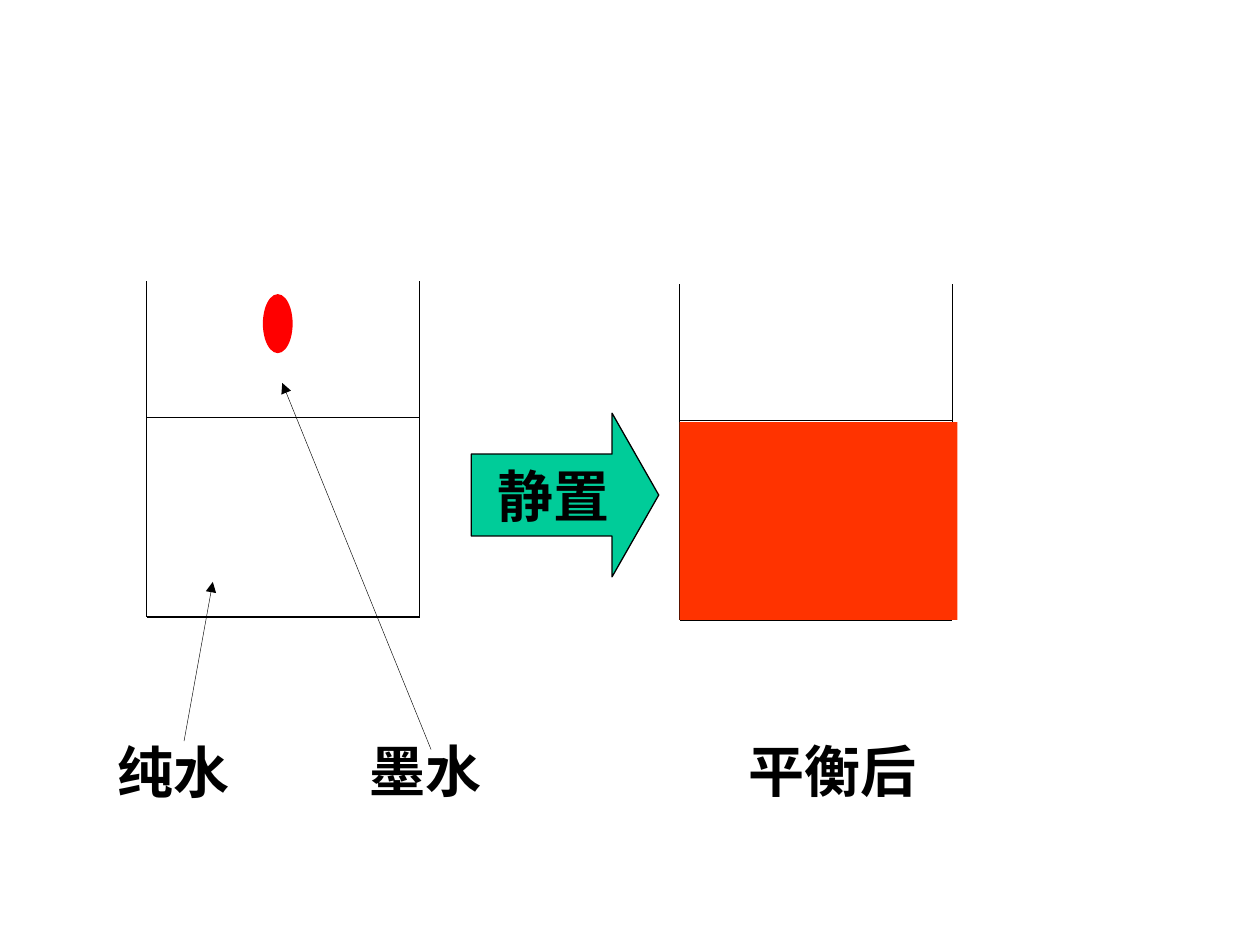
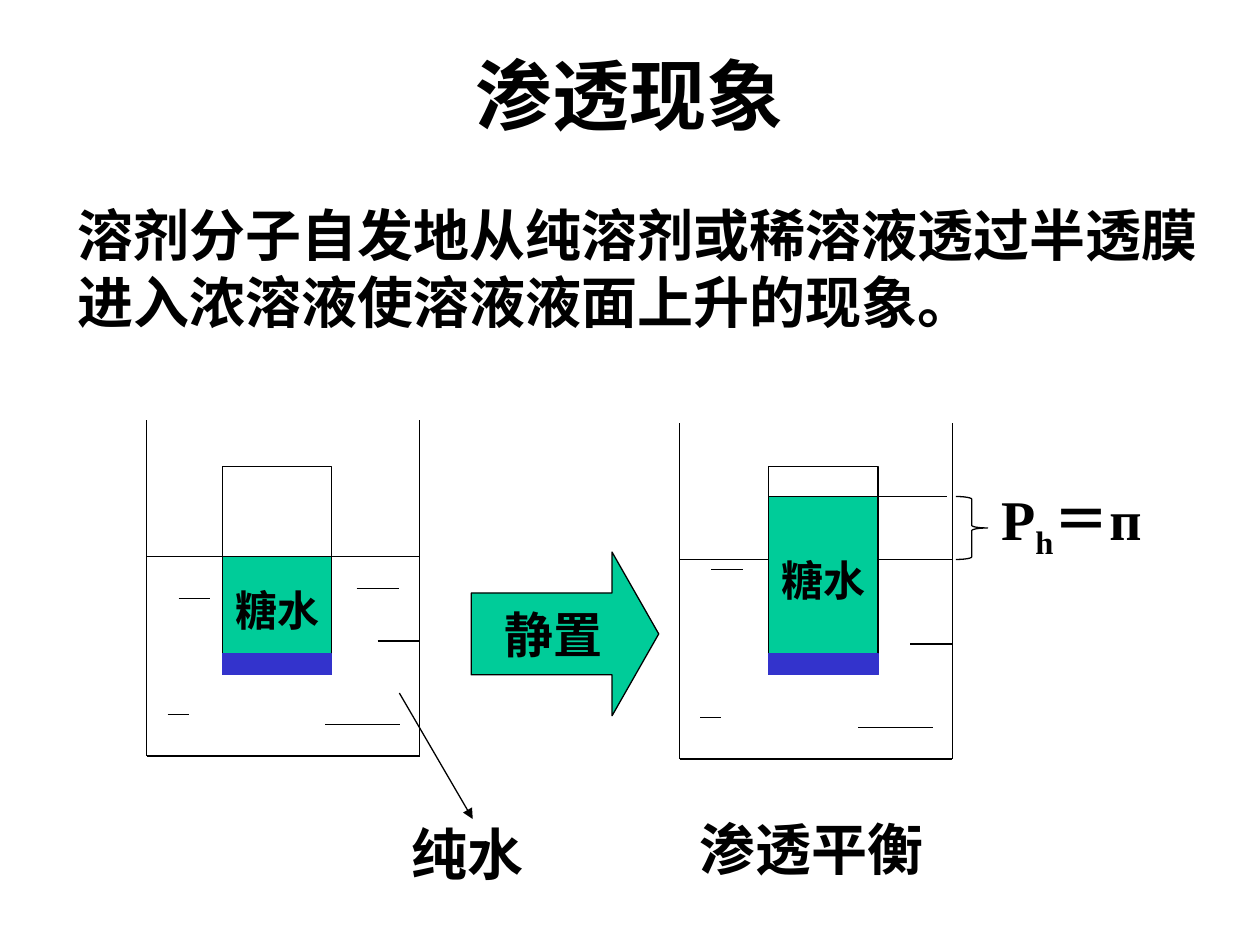
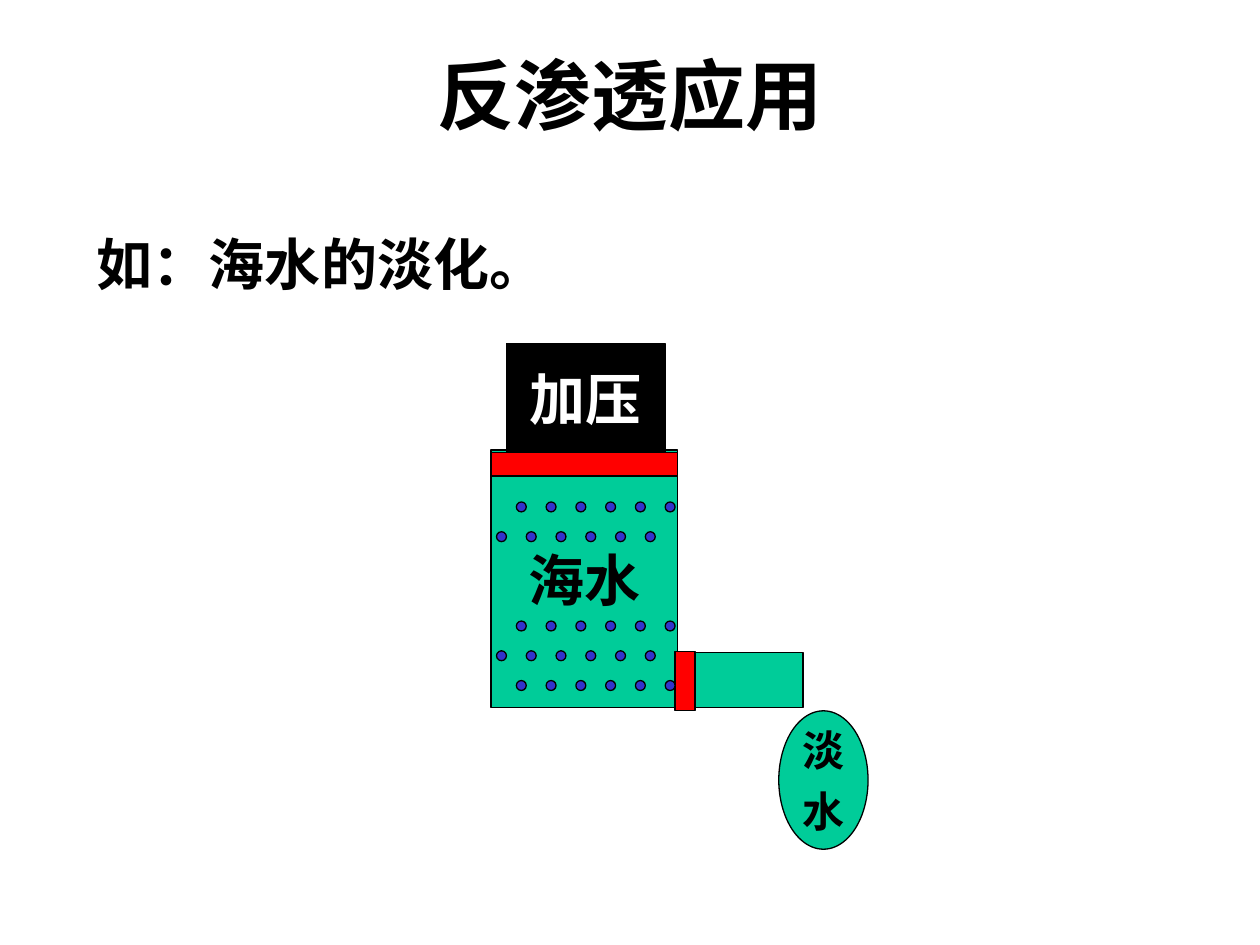
from lxml import etree
from pptx import Presentation
from pptx.dml.color import RGBColor
from pptx.enum.shapes import MSO_CONNECTOR, MSO_SHAPE
from pptx.enum.text import MSO_ANCHOR, MSO_AUTO_SIZE, PP_ALIGN
from pptx.oxml.ns import qn
from pptx.util import Cm, Pt

RECTANGLE, ELLIPSE = MSO_SHAPE.RECTANGLE, MSO_SHAPE.OVAL
RIGHT_ARROW, RIGHT_BRACE = MSO_SHAPE.RIGHT_ARROW, MSO_SHAPE.RIGHT_BRACE
STRAIGHT = MSO_CONNECTOR.STRAIGHT
TOP, MIDDLE = MSO_ANCHOR.TOP, MSO_ANCHOR.MIDDLE
LEFT, CENTER = PP_ALIGN.LEFT, PP_ALIGN.CENTER

FONT = "Times New Roman"
COLOURS = {
    "black": "000000",
    "white": "FFFFFF",
    "green": "00CC99",
    "blue": "3333CC",
    "red": "FF0000",
    "orange": "FF3300",
}

# All positions and lengths are in centimetres.
TITLE_BOX = (1.9, 0.84, 21.6, 2.1)
TITLES = {"osmosis": "渗透现象", "reverse": "反渗透应用"}

WATER_LABEL = ("纯水", (2.11, 14.73, 4.0, 1.6))
DIFFUSION_LABELS = [
    ("墨水", (7.19, 14.73, 4.0, 1.6)),
    ("平衡后", (14.84, 14.73, 4.0, 1.6)),
]
DIFFUSION_POINTERS = [
    ((3.71, 14.94), (4.29, 11.73)),
    ((8.69, 15.11), (5.69, 7.72)),
]

OSMOSIS_TEXT = "溶剂分子自发地从纯溶剂或稀溶液透过半透膜进入浓溶液使溶液液面上升的现象。"
OSMOSIS_BOX = (1.3, 3.91, 23.5, 2.97)
OSMOSIS_LABELS = [
    ("纯水", (8.05, 16.38, 2.77, 1.63)),
    ("渗透平衡", (13.84, 16.28, 5.03, 1.63)),
]
FORMULA = ("P", "h", "＝п")
FORMULA_BOX = (19.3, 9.63, 4.6, 1.8)

REVERSE_TEXT = "如：海水的淡化。"
REVERSE_BOX = (1.7, 4.65, 21.6, 1.47)
# shape, box, fill, text, text size, text colour
REVERSE_PARTS = [
    (RECTANGLE, (13.82, 13.16, 2.37, 1.11), "green", "", 0, "black"),
    (RECTANGLE, (9.9, 9.07, 3.76, 5.19), "green", "海水", 32, "black"),
    (RECTANGLE, (9.9, 9.12, 3.76, 0.48), "red", "", 0, "black"),
    (RECTANGLE, (10.21, 6.93, 3.2, 2.2), "black", "加压", 32, "white"),
    (ELLIPSE, (15.7, 14.33, 1.8, 2.79), "green", "淡\n水", 24, "black"),
    (RECTANGLE, (13.61, 13.13, 0.4, 1.2), "red", "", 0, "black"),
]
SALT_ROWS = (0, 1, 4, 5, 6)
SALT_COLUMNS = 6
SALT_STEP, SALT_SIZE = 0.6, 0.2
SALT_TOP = 10.12
SALT_LEFT = (10.41, 10.01)  # even rows, odd rows

BEAKER_WIDTH, BEAKER_HEIGHT, WATER_DEPTH = 5.5, 6.77, 2.75
BEAKER_LEFT, RIGHT_SHIFT, RIGHT_DROP = 2.96, 10.74, 0.06
# left, top and length of the water marks, from the beaker's top left corner
SHARED_MARKS = [(0.42, 5.93, 0.42), (4.65, 4.45, 0.85), (3.6, 6.14, 1.5)]
LEFT_MARKS = SHARED_MARKS + [(0.64, 3.6, 0.64), (4.23, 3.39, 0.85)]
SURFACE_MARK = (4.23, WATER_DEPTH, 0.85)
RIGHT_MARKS = SHARED_MARKS + [(0.64, 2.95, 0.64), SURFACE_MARK]

TUBE_TOP, TUBE_WIDTH, TUBE_HEIGHT = 9.4, 2.2, 4.19
SOLUTION_BOTTOM, MEMBRANE_TOP, MEMBRANE_HEIGHT = 13.38, 13.18, 0.42
RAISED_SURFACE = 10.01
TUBES = [(4.49, 11.22), (15.5, RAISED_SURFACE)]  # left edge, solution surface


def colour(name):
    return RGBColor.from_string(COLOURS[name])


def place(shape, box):
    shape.left, shape.top, shape.width, shape.height = map(Cm, box)


def format_text(frame, size, align, anchor, name="black"):
    frame.auto_size = MSO_AUTO_SIZE.NONE
    frame.vertical_anchor = anchor
    for index, para in enumerate(frame.paragraphs):
        para.alignment = align
        para.space_before = Pt(size / 4 if index else 0)
        for span in para.runs:
            span.font.name = FONT
            span.font.size = Pt(size)
            span.font.bold = True
            span.font.color.rgb = colour(name)


def add_title(slide, text):
    title = slide.shapes.title
    place(title, TITLE_BOX)
    title.text_frame.text = text
    format_text(title.text_frame, 44, CENTER, MIDDLE)


def add_body(slide, text, box, spacing=None):
    """Fill the body placeholder with one paragraph that has no bullet."""
    body = slide.placeholders[1]
    place(body, box)
    body.text_frame.text = text
    para = body.text_frame.paragraphs[0]
    properties = para._p.get_or_add_pPr()
    properties.set("marL", "0")
    properties.set("indent", "0")
    etree.SubElement(properties, qn("a:buNone"))
    if spacing:
        para.line_spacing = spacing
    format_text(body.text_frame, 32, LEFT, TOP)


def add_label(slide, text, box, wrap=False, align=CENTER, anchor=MIDDLE):
    label = slide.shapes.add_textbox(*map(Cm, box))
    label.text_frame.word_wrap = wrap
    label.text_frame.text = text
    format_text(label.text_frame, 32, align, anchor)
    return label


def add_line(slide, start, end, width=0.75, arrow=False):
    line = slide.shapes.add_connector(STRAIGHT, *map(Cm, start + end))
    line.line.color.rgb = colour("black")
    line.line.width = Pt(width)
    if arrow:
        etree.SubElement(line.line._get_or_add_ln(), qn("a:tailEnd"), type="triangle")
    etree.SubElement(line._element.spPr, qn("a:effectLst"))


def add_part(slide, kind, box, fill=None, outline="black",
             text="", size=0, text_colour="black"):
    part = slide.shapes.add_shape(kind, *map(Cm, box))
    part.shadow.inherit = False
    if fill:
        part.fill.solid()
        part.fill.fore_color.rgb = colour(fill)
    else:
        part.fill.background()
    if outline:
        part.line.color.rgb = colour(outline)
        part.line.width = Pt(0.75)
    else:
        part.line.fill.background()
    if text:
        part.text_frame.word_wrap = False
        part.text_frame.text = text
        format_text(part.text_frame, size, CENTER, MIDDLE, text_colour)
    return part


def add_beaker(slide, left, top, marks):
    right, bottom = left + BEAKER_WIDTH, top + BEAKER_HEIGHT
    for x in (left, right):
        add_line(slide, (x, top), (x, bottom))
    for y in (top + WATER_DEPTH, bottom):
        add_line(slide, (left, y), (right, y))
    for x, y, length in marks:
        add_line(slide, (left + x, top + y), (left + x + length, top + y))


def add_beaker_pair(slide, top, left_marks, right_marks, arrow_text_size):
    """Draw the beakers before and after standing, with the arrow between."""
    add_beaker(slide, BEAKER_LEFT, top, left_marks)
    arrow = add_part(slide, RIGHT_ARROW, (9.5, top + 2.66, 3.78, 3.3), "green",
                     text="静置", size=arrow_text_size)
    arrow.adjustments[0] = 0.5
    arrow.adjustments[1] = 0.285
    add_beaker(slide, BEAKER_LEFT + RIGHT_SHIFT, top + RIGHT_DROP, right_marks)


def add_tube(slide, left, surface):
    add_part(slide, RECTANGLE, (left, surface, TUBE_WIDTH, SOLUTION_BOTTOM - surface),
             "green", text="糖水", size=24)
    add_part(slide, RECTANGLE, (left, TUBE_TOP, TUBE_WIDTH, TUBE_HEIGHT))
    add_part(slide, RECTANGLE, (left, MEMBRANE_TOP, TUBE_WIDTH, MEMBRANE_HEIGHT),
             "blue", "blue")


def build_diffusion(slide):
    title = slide.shapes.title._element
    title.getparent().remove(title)
    add_body(slide, *WATER_LABEL)
    for text, box in DIFFUSION_LABELS:
        add_label(slide, text, box, wrap=True, align=LEFT, anchor=TOP)
    add_beaker_pair(slide, 5.67, [], [SURFACE_MARK], 32)
    for start, end in DIFFUSION_POINTERS:
        add_line(slide, start, end, 0.25, arrow=True)
    add_part(slide, ELLIPSE, (5.3, 5.93, 0.6, 1.19), "red", None)
    add_part(slide, RECTANGLE, (13.7, 8.51, 5.6, 3.99), "orange", None)


def build_osmosis(slide):
    add_title(slide, TITLES["osmosis"])
    add_body(slide, OSMOSIS_TEXT, OSMOSIS_BOX)
    for text, box in OSMOSIS_LABELS:
        add_label(slide, text, box)
    add_line(slide, (8.05, 13.97), (9.53, 16.51), arrow=True)

    formula = add_label(slide, "", FORMULA_BOX, wrap=True)
    para = formula.text_frame.paragraphs[0]
    for text in FORMULA:
        para.add_run().text = text
    format_text(formula.text_frame, 32, CENTER, MIDDLE)
    para.runs[1]._r.get_or_add_rPr().set("baseline", "-25000")

    add_part(slide, RIGHT_BRACE, (19.27, RAISED_SURFACE, 0.64, 1.27))
    add_beaker_pair(slide, 8.47, LEFT_MARKS, RIGHT_MARKS, 28)
    add_line(slide, (17.63, RAISED_SURFACE), (19.1, RAISED_SURFACE))
    for left, surface in TUBES:
        add_tube(slide, left, surface)


def build_reverse_osmosis(slide):
    add_title(slide, TITLES["reverse"])
    add_body(slide, REVERSE_TEXT, REVERSE_BOX, spacing=0.9)
    for kind, box, fill, text, size, text_colour in REVERSE_PARTS:
        add_part(slide, kind, box, fill, "black", text, size, text_colour)
    for row in SALT_ROWS:
        for column in range(SALT_COLUMNS):
            left = SALT_LEFT[row % 2] + column * SALT_STEP
            top = SALT_TOP + row * SALT_STEP
            add_part(slide, ELLIPSE, (left, top, SALT_SIZE, SALT_SIZE), "blue")


def main():
    deck = Presentation()
    deck.slide_width, deck.slide_height = Cm(25.4), Cm(19.05)
    for build in (build_diffusion, build_osmosis, build_reverse_osmosis):
        build(deck.slides.add_slide(deck.slide_layouts[1]))
    deck.save("out.pptx")


if __name__ == "__main__":
    main()
